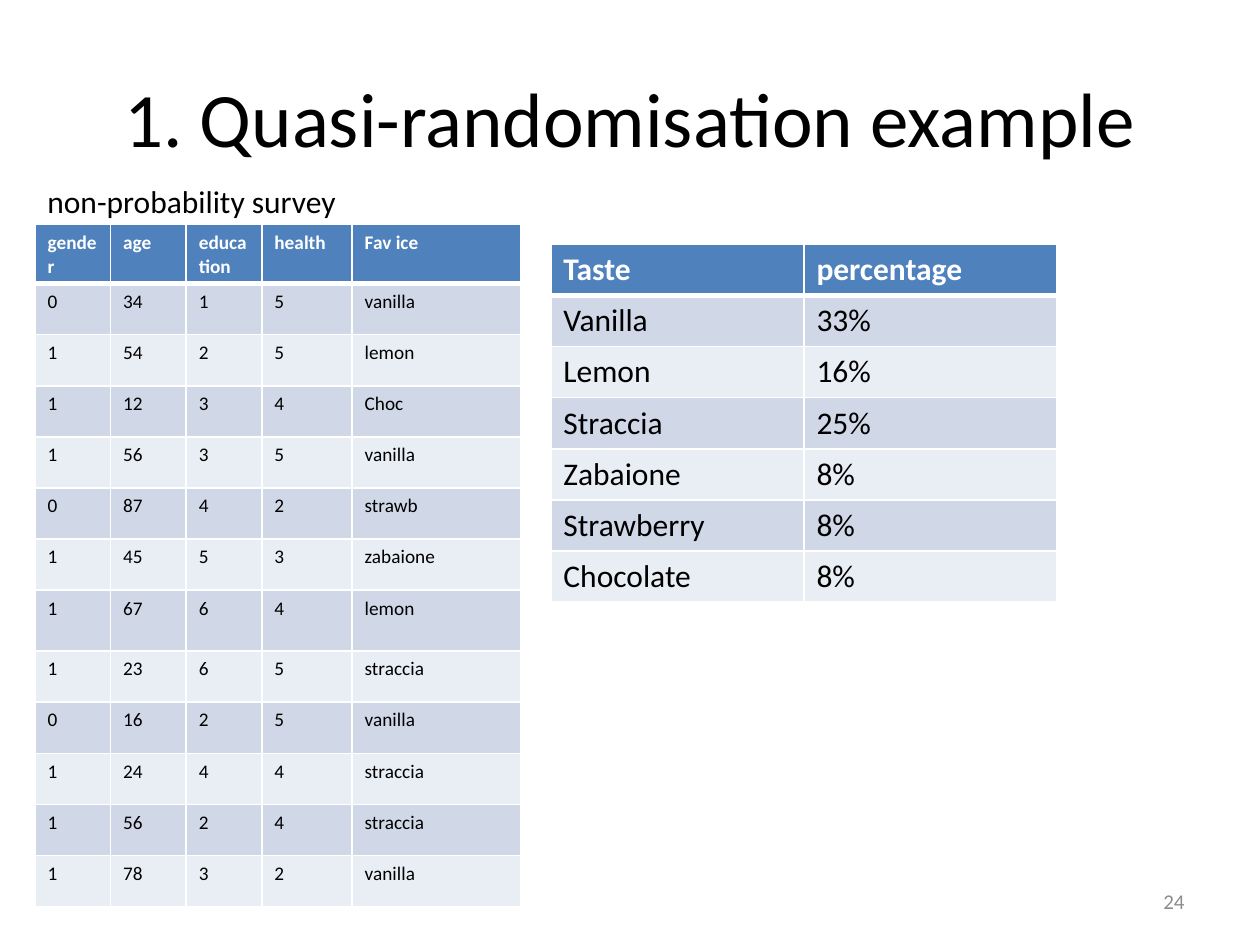
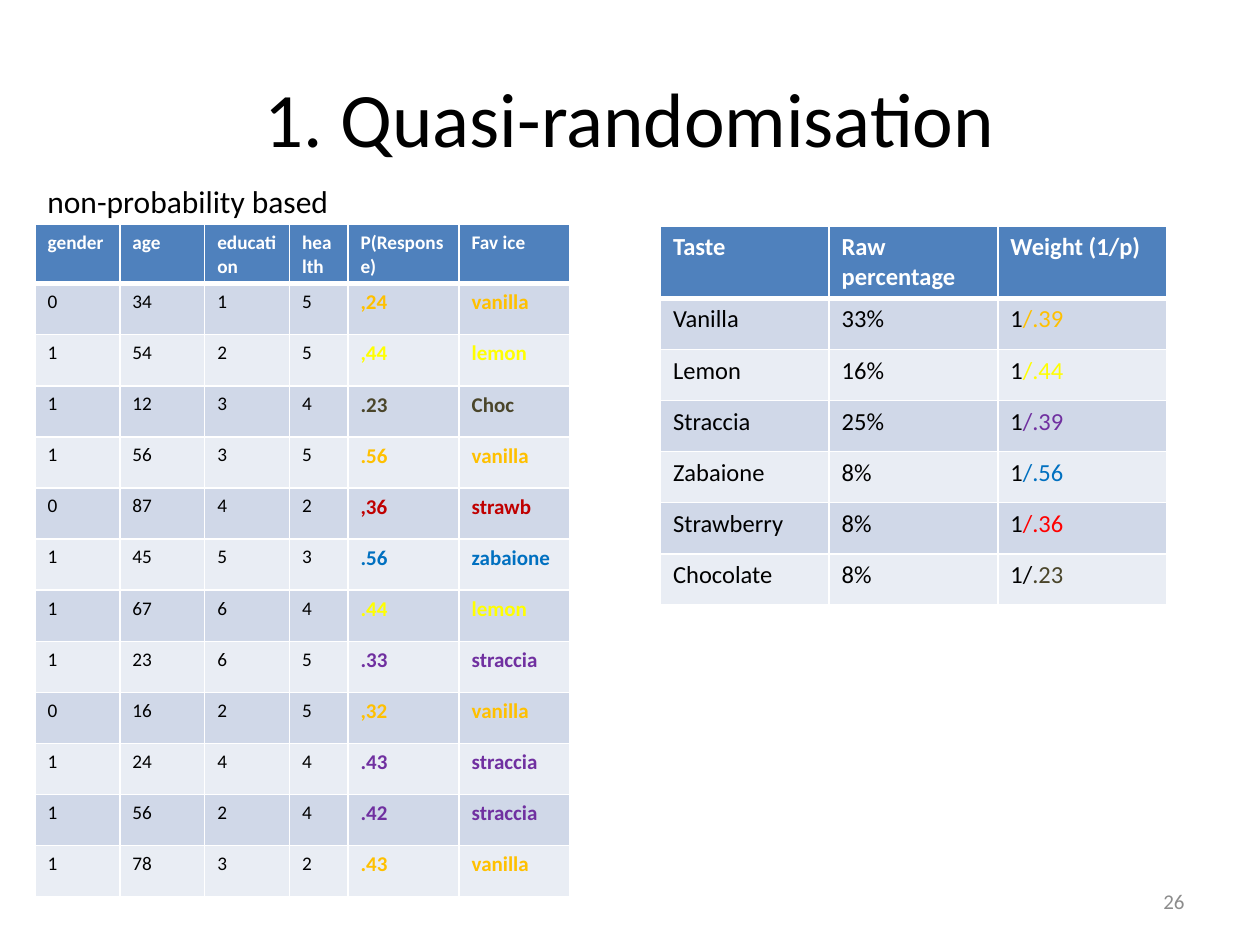
from lxml import etree
from pptx import Presentation
from pptx.dml.color import RGBColor
from pptx.enum.text import MSO_ANCHOR, PP_ALIGN
from pptx.oxml.ns import qn
from pptx.util import Pt

MIDDLE = MSO_ANCHOR.MIDDLE
LEFT, CENTER, RIGHT = PP_ALIGN.LEFT, PP_ALIGN.CENTER, PP_ALIGN.RIGHT
FONT = "Calibri"
BLACK, WHITE, GREY = "000000", "FFFFFF", "8C8C8C"
HEAD, BANDS = "4F81BD", ("D0D8E8", "E9EDF4")
ROW = 29.2

PEOPLE = [
    ("0", "34", "1", "5", ",24", "vanilla"),
    ("1", "54", "2", "5", ",44", "lemon"),
    ("1", "12", "3", "4", ".23", "Choc"),
    ("1", "56", "3", "5", ".56", "vanilla"),
    ("0", "87", "4", "2", ",36", "strawb"),
    ("1", "45", "5", "3", ".56", "zabaione"),
    ("1", "67", "6", "4", ".44", "lemon"),
    ("1", "23", "6", "5", ".33", "straccia"),
    ("0", "16", "2", "5", ",32", "vanilla"),
    ("1", "24", "4", "4", ".43", "straccia"),
    ("1", "56", "2", "4", ".42", "straccia"),
    ("1", "78", "3", "2", ".43", "vanilla"),
]
HUES = {"vanilla": "FFC000", "lemon": "FFFF00", "Choc": "4A452A",
        "strawb": "C00000", "zabaione": "0070C0", "straccia": "7030A0"}
TASTES = [
    ("Vanilla", "33%", "1", "/.39", HUES["vanilla"]),
    ("Lemon", "16%", "1", "/.44", HUES["lemon"]),
    ("Straccia", "25%", "1", "/.39", HUES["straccia"]),
    ("Zabaione", "8%", "1", "/.56", HUES["zabaione"]),
    ("Strawberry", "8%", "1", "/.36", "FF0000"),
    ("Chocolate", "8%", "1/", ".23", HUES["Choc"]),
]
TRAITS = ["gender", "age", "education", "health"]


def rgb(hue):
    """Turn a hex string into a colour."""
    return RGBColor.from_string(hue)


def write(frame, runs, size, hue=BLACK, bold=False, align=LEFT):
    """Write runs, each a string or a (text, changes) pair, as one paragraph."""
    para = frame.paragraphs[0]
    para.alignment = align
    for item in runs:
        text, extra = (item, {}) if isinstance(item, str) else item
        look = {"size": size, "hue": hue, "bold": bold, **extra}
        run = para.add_run()
        run.text = text
        run.font.color.rgb = rgb(look["hue"])
        form = {"name": FONT, "size": Pt(look["size"]), "bold": look["bold"]}
        for key, value in form.items():
            setattr(run.font, key, value)


def edge(cell, low):
    """Draw white cell borders, with the lower one of the given width."""
    props = cell._tc.get_or_add_tcPr()
    for place, side in enumerate("LRTB"):
        width = low if side == "B" else 1
        line = etree.Element(qn("a:ln" + side), w=str(Pt(width)))
        fill = etree.SubElement(line, qn("a:solidFill"))
        etree.SubElement(fill, qn("a:srgbClr"), val=WHITE)
        props.insert(place, line)


def grid(slide, left, top, cols, rows, size, tall):
    """Place a banded table; tall maps row numbers to special heights."""
    highs = [tall.get(i, ROW) for i in range(len(rows))]
    shape = slide.shapes.add_table(len(rows), len(cols), Pt(left), Pt(top),
                                   Pt(sum(cols)), Pt(sum(highs)))
    table = shape.table
    for col, width in zip(table.columns, cols):
        col.width = Pt(width)
    for i, row in enumerate(rows):
        table.rows[i].height = Pt(highs[i])
        for j, runs in enumerate(row):
            cell = table.cell(i, j)
            cell.fill.solid()
            cell.fill.fore_color.rgb = rgb(BANDS[(i - 1) % 2] if i else HEAD)
            edge(cell, 1 if i else 3)
            runs = [runs] if isinstance(runs, str) else runs
            write(cell.text_frame, runs, size, BLACK if i else WHITE, not i)


def label(slide, box, text, size, **look):
    """Place a line of text in a box."""
    frame = slide.shapes.add_textbox(*map(Pt, box)).text_frame
    frame.word_wrap = True
    frame.vertical_anchor = MIDDLE
    write(frame, [text], size, **look)


def page(deck, title, survey, number):
    """Add a slide with its title, survey label and page number."""
    slide = deck.slides.add_slide(deck.slide_layouts[5])
    head = slide.shapes.title
    box = {"left": 36, "top": 21.6, "width": 648, "height": 90}
    for key, value in box.items():
        setattr(head, key, Pt(value))
    head.text_frame.vertical_anchor = MIDDLE
    write(head.text_frame, [title], 44, align=CENTER)
    label(slide, (20, 100.2, 221, 29), survey, 18)
    label(slide, (516, 500.5, 168, 28.8), number, 12, hue=GREY, align=RIGHT)
    return slide


def raw(deck):
    """Build the slide of the survey and its plain percentages."""
    slide = page(deck, "1. Quasi-randomisation example",
                 "non-probability survey", "24")
    people = [TRAITS + ["Fav ice"]] + [[*p[:4], p[5]] for p in PEOPLE]
    grid(slide, 20, 128.3, [43.2, 43.2, 43.2, 51.6, 96.4], people, 11,
         {0: 33.8, 7: 34.8})
    shares = [["Taste", "percentage"]] + [t[:2] for t in TASTES]
    grid(slide, 314.8, 139.7, [144.6] * 2, shares, 18, {})


def scaled(deck):
    """Build the slide of response chances and weights."""
    slide = page(deck, "1. Quasi-randomisation", "non-probability based", "26")
    people = [TRAITS + ["P(Response)", "Fav ice"]]
    for *traits, chance, ice in PEOPLE:
        look = {"size": 12, "hue": HUES[ice], "bold": True}
        people.append(traits + [[(chance, look)], [(ice, look)]])
    grid(slide, 20, 128.3, [48.5] * 3 + [33.4] + [63.5] * 2, people, 11,
         {0: 33.8})
    shares = [["Taste", "Raw percentage", "Weight (1/p)"]]
    for taste, share, one, chance, hue in TASTES:
        shares.append([taste, share, [one, (chance, {"hue": hue})]])
    grid(slide, 377.4, 129.3, [96.4] * 3, shares, 14, {0: 41.2})


def main():
    """Build and save the deck."""
    deck = Presentation()
    deck.slide_width, deck.slide_height = Pt(720), Pt(540)
    raw(deck)
    scaled(deck)
    deck.save("out.pptx")


main()
